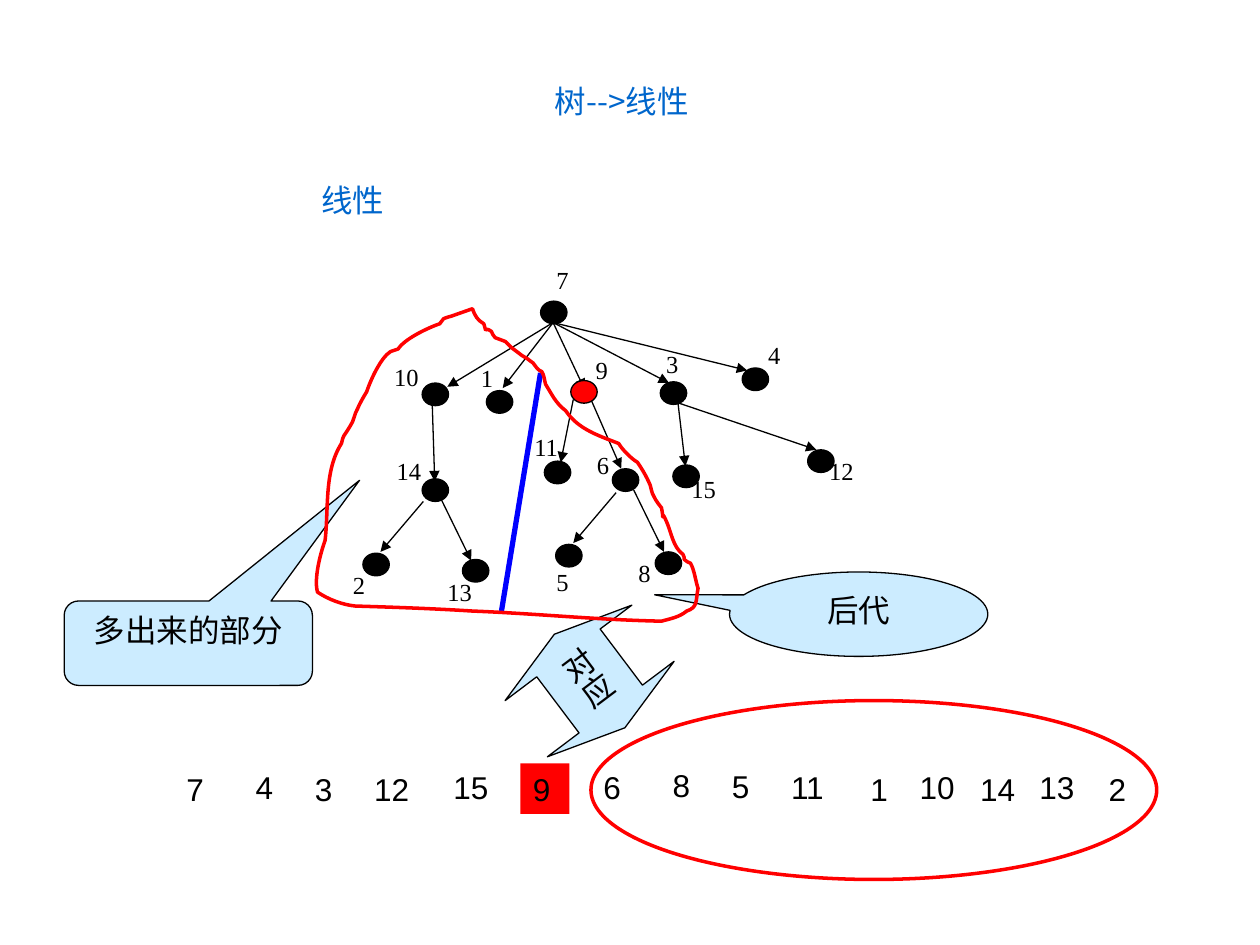
from lxml import etree
from pptx import Presentation, util as u
from pptx.dml.color import RGBColor
from pptx.enum import shapes, text
from pptx.oxml import ns

PX = u.Inches(0.01)
COLORS = {"ink": "000000", "title": "0066CC", "mark": "FF0000", "split": "0000FF", "note": "CCECFF"}
CJK = "Noto Sans CJK SC"
CENTER, LEFT, JUSTIFY = text.PP_ALIGN.CENTER, text.PP_ALIGN.LEFT, text.PP_ALIGN.JUSTIFY

HEADINGS = [("树-->线性", (406, 60, 175, 50)), ("线性", (201, 139, 158, 71))]

NODES = [
    ("7", (429, 239), (426, 210)), ("10", (335, 304), (302, 287)),
    ("1", (386, 310), (366, 288)), ("9", (453, 302), (457, 282)),
    ("3", (524, 303), (513, 277)), ("4", (589, 292), (594, 270)),
    ("14", (335, 380), (304, 362)), ("2", (288, 439), (280, 452)),
    ("13", (367, 444), (355, 458)), ("11", (432, 366), (413, 343)),
    ("6", (486, 372), (458, 357)), ("5", (441, 432), (426, 450)),
    ("8", (520, 438), (491, 443)), ("15", (534, 369), (538, 376)),
    ("12", (641, 357), (658, 362)),
]
JUSTIFIED = {"2", "12", "13"}
HIGHLIGHT = "9"

EDGES = [
    ((439, 256), (355, 307)), ((439, 256), (399, 308)), ((439, 256), (464, 309)),
    ((439, 256), (531, 304)), ((439, 256), (593, 294)), ((343, 319), (345, 382)),
    ((336, 398), (302, 438)), ((350, 396), (374, 445)), ((455, 317), (445, 367)),
    ((469, 317), (493, 372)), ((489, 391), (455, 431)), ((503, 389), (527, 438)),
    ((538, 319), (544, 370)), ((536, 319), (648, 357)),
]

SEQUENCE = [
    ("7", 138, 606), ("4", 193, 605), ("3", 240, 606), ("12", 287, 606), ("15", 350, 605),
    ("9", 413, 606), ("6", 469, 605), ("8", 524, 603), ("5", 571, 604), ("11", 618, 605),
    ("1", 681, 606), ("10", 720, 605), ("14", 768, 606), ("13", 815, 605), ("2", 870, 606),
]

CALLOUTS = [
    ("后代", shapes.MSO_SHAPE.OVAL_CALLOUT, (579, 454, 205, 67), (-0.79, -0.23)),
    ("多出来的部分", shapes.MSO_SHAPE.ROUNDED_RECTANGULAR_CALLOUT, (51, 477, 197, 67), (0.69, -1.93, 0.17)),
]
LINK_ADJUSTMENTS = {"adj1": 50000, "adj2": 20000}

REGION_START = (375, 245)
REGION_CURVES = [
    (377, 251, 379, 254, 384, 257), (387, 267, 383, 258, 390, 263),
    (391, 264, 391, 267, 393, 268), (393, 268, 401, 271, 401, 271),
    (408, 278, 405, 275, 414, 282), (416, 283, 417, 284, 419, 285),
    (420, 286, 423, 288, 423, 288), (424, 289, 425, 291, 426, 292),
    (427, 294, 429, 294, 430, 295), (432, 298, 432, 302, 433, 305),
    (438, 313, 441, 320, 449, 326), (459, 341, 476, 346, 491, 352),
    (494, 357, 501, 364, 506, 367), (510, 373, 513, 378, 516, 385),
    (517, 388, 517, 391, 519, 394), (520, 397, 525, 403, 525, 403),
    (528, 420, 523, 400, 529, 414), (533, 423, 534, 434, 542, 440),
    (543, 441, 543, 443, 543, 444), (544, 446, 547, 446, 548, 447),
    (551, 452, 552, 461, 554, 467), (552, 477, 554, 482, 545, 485),
    (539, 490, 532, 491, 525, 493), (474, 492, 426, 487, 375, 485),
    (344, 483, 314, 482, 282, 481), (272, 480, 261, 476, 252, 470),
    (249, 460, 254, 440, 258, 429), (261, 404, 257, 374, 271, 352),
    (273, 344, 272, 348, 278, 338), (281, 334, 281, 329, 284, 324),
    (286, 319, 291, 311, 291, 311), (294, 302, 302, 284, 310, 279),
    (312, 278, 314, 278, 316, 277), (321, 269, 340, 260, 349, 257),
    (350, 256, 351, 254, 352, 253), (354, 252, 358, 251, 358, 251),
]

prs = Presentation()
prs.slide_width, prs.slide_height = 1000 * PX, 750 * PX
s = prs.slides.add_slide(prs.slide_layouts[6])


def rgb(name):
    return RGBColor.from_string(COLORS[name])


def add_element(parent, tag, **attributes):
    return etree.SubElement(parent, ns.qn(tag), {k: str(v) for k, v in attributes.items()})


def style(sp, fill=None, line=None, width=0.75):
    sp.shadow.inherit = False
    if fill:
        sp.fill.solid()
        sp.fill.fore_color.rgb = rgb(fill)
    else:
        sp.fill.background()
    if line:
        sp.line.color.rgb = rgb(line)
        sp.line.width = u.Pt(width)
    else:
        sp.line.fill.background()
    return sp


def add_shape(kind, box, fill=None, line=None, width=0.75):
    return style(s.shapes.add_shape(kind, *(v * PX for v in box)), fill, line, width)


def write(sp, words, size=18, font="Arial", color="ink", align=LEFT, wrap=True,
          inset=(10, 5), anchor=text.MSO_ANCHOR.TOP):
    tf = sp.text_frame
    tf.word_wrap = wrap
    tf.vertical_anchor = anchor
    tf.margin_left = tf.margin_right = inset[0] * PX
    tf.margin_top = tf.margin_bottom = inset[1] * PX
    p = tf.paragraphs[0]
    p.text = words
    p.alignment = align
    p.font.size = u.Pt(size)
    p.font.name = font
    p.font.color.rgb = rgb(color)
    add_element(p._p.get_or_add_pPr().get_or_add_defRPr(), "a:ea", typeface=CJK)


def add_text(box, words, **options):
    write(s.shapes.add_textbox(*(v * PX for v in box)), words, **options)


def add_line(start, end, color, width, arrow=False):
    c = s.shapes.add_connector(shapes.MSO_CONNECTOR.STRAIGHT, *(v * PX for v in start + end))
    c.line.color.rgb = rgb(color)
    c.line.width = u.Pt(width)
    if arrow:
        add_element(c.line._get_or_add_ln(), "a:tailEnd", type="triangle")
    add_element(c._element.spPr, "a:effectLst")


def add_curved_outline(start, curves):
    builder = s.shapes.build_freeform(*(v * PX for v in start))
    builder.add_line_segments([(x * PX, y * PX) for *_, x, y in curves], close=True)
    sp = builder.convert_to_shape()
    for segment, curve in zip(list(sp._element.iter(ns.qn("a:lnTo"))), curves):
        segment.tag = ns.qn("a:cubicBezTo")
        segment.remove(segment[0])
        for x, y in zip(curve[::2], curve[1::2]):
            add_element(segment, "a:pt", x=x * PX - sp.left, y=y * PX - sp.top)
    return sp


for words, box in HEADINGS:
    add_text(box, words, font=CJK, color="title", align=CENTER, wrap=False)

for start, end in EDGES:
    add_line(start, end, "ink", 0.75, arrow=True)
for value, node, label in NODES:
    add_shape(shapes.MSO_SHAPE.OVAL, (*node, 21, 18), "mark" if value == HIGHLIGHT else "ink", "ink")
    add_text((*label, 41, 35), value, size=14, font="Times New Roman", inset=(0, 0),
             align=JUSTIFY if value in JUSTIFIED else CENTER)

add_shape(shapes.MSO_SHAPE.OVAL, (469, 556, 449, 142), line="mark", width=2)

link = add_shape(shapes.MSO_SHAPE.UP_DOWN_ARROW, (405, 494, 126, 93), "note", "ink")
guides = link._element.spPr.find(ns.qn("a:prstGeom")).find(ns.qn("a:avLst"))
guides.clear()
for name, value in LINK_ADJUSTMENTS.items():
    add_element(guides, "a:gd", name=name, fmla=f"val {value}")
link.rotation = 323
write(link, "对应", align=CENTER, wrap=False, inset=(5, 10), anchor=text.MSO_ANCHOR.MIDDLE)
link.text_frame._txBody.bodyPr.set("vert", "eaVert")

add_line((429, 296), (398, 485), "split", 3)

for words, kind, box, adjustments in CALLOUTS:
    sp = add_shape(kind, box, "note", "ink")
    for i, value in enumerate(adjustments):
        sp.adjustments[i] = value
    write(sp, words, align=CENTER)

for value, x, y in SEQUENCE:
    if value == HIGHLIGHT:
        write(add_shape(shapes.MSO_SHAPE.RECTANGLE, (x, y, 39, 40), "mark"), value)
    else:
        add_text((x, y, 55, 40), value)

style(add_curved_outline(REGION_START, REGION_CURVES), line="mark", width=2)

prs.save("out.pptx")
